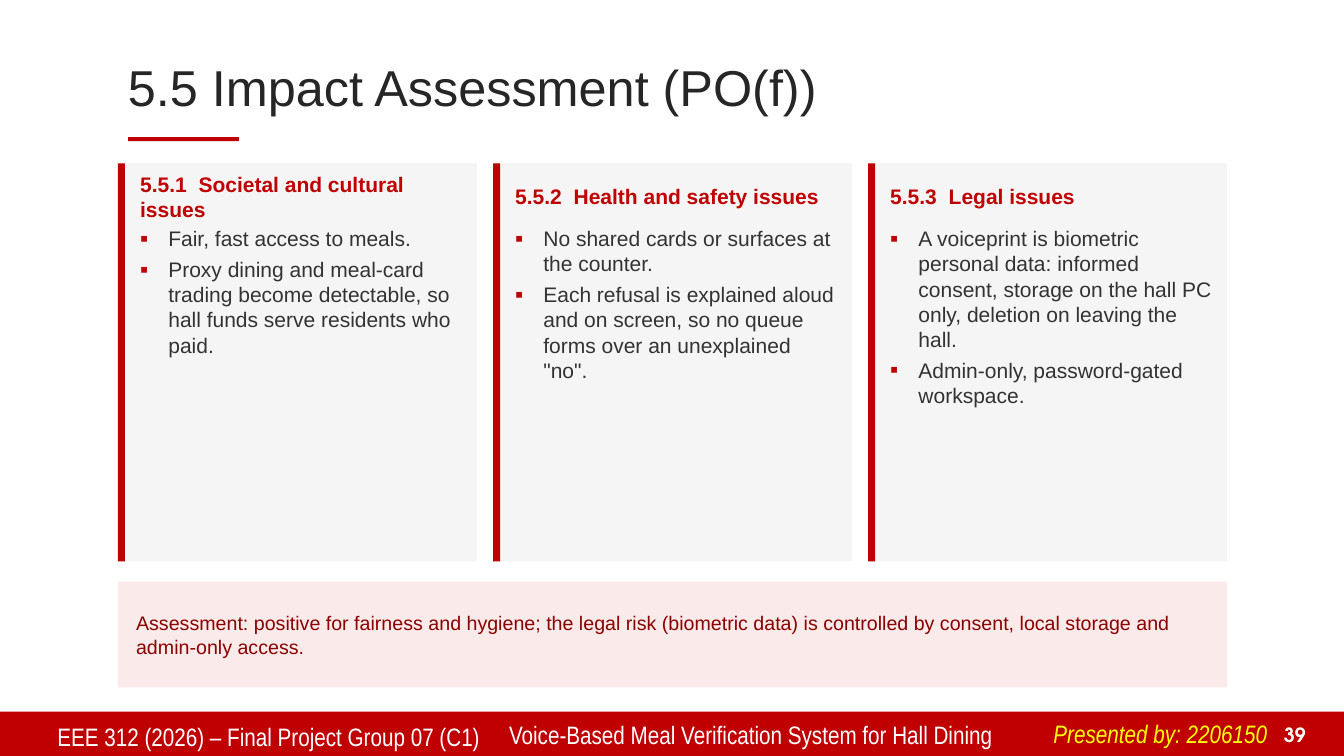
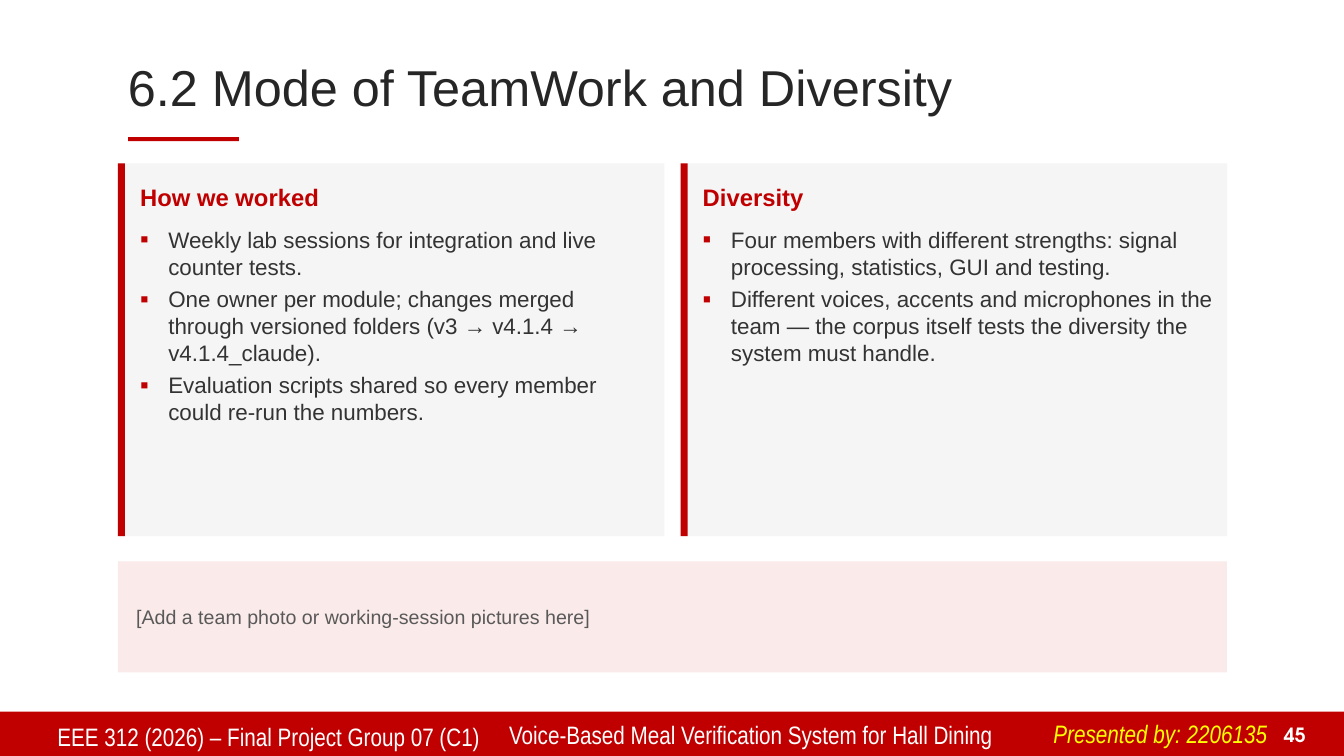
"""Build the impact assessment and teamwork slides of the project deck."""
from lxml import etree
from pptx import Presentation
from pptx.dml.color import RGBColor
from pptx.enum.shapes import MSO_SHAPE
from pptx.enum.text import MSO_ANCHOR, MSO_AUTO_SIZE, PP_ALIGN
from pptx.oxml.ns import qn
from pptx.util import Inches, Pt

RECTANGLE = MSO_SHAPE.RECTANGLE
TOP, MIDDLE, BOTTOM = MSO_ANCHOR.TOP, MSO_ANCHOR.MIDDLE, MSO_ANCHOR.BOTTOM
LEFT, RIGHT = PP_ALIGN.LEFT, PP_ALIGN.RIGHT
GROW = MSO_AUTO_SIZE.SHAPE_TO_FIT_TEXT

RED = RGBColor(0xC0, 0x00, 0x00)
DARK_RED = RGBColor(0x8B, 0x00, 0x00)
PINK = RGBColor(0xFB, 0xEA, 0xEA)
PALE_GREY = RGBColor(0xF5, 0xF5, 0xF5)
TITLE_GREY = RGBColor(0x26, 0x26, 0x26)
BODY_GREY = RGBColor(0x33, 0x33, 0x33)
NOTE_GREY = RGBColor(0x59, 0x59, 0x59)
WHITE = RGBColor(0xFF, 0xFF, 0xFF)
YELLOW = RGBColor(0xFF, 0xFF, 0x00)

BODY_FONT = "Arial"
FOOTER_FONT = "Arial Narrow"
NUMBER_FONT = "TeX Gyre Adventor"

SLIDE_WIDTH, SLIDE_HEIGHT = 13.33, 7.5
CONTENT_LEFT, CONTENT_WIDTH = 1.17, 11
CARD_TOP, CARD_GAP = 1.62, 0.16
BULLET_INDENT = 0.28
NUMBER_TAB = 0.58


def add_child(parent, tag, **attributes):
    return etree.SubElement(parent, qn(tag), attributes)


def add_bullet(properties):
    indent = Inches(BULLET_INDENT)
    properties.set("marL", str(indent))
    properties.set("indent", str(-indent))
    add_child(add_child(properties, "a:buClr"), "a:srgbClr", val=str(RED))
    add_child(properties, "a:buSzPct", val="110000")
    add_child(properties, "a:buFont", typeface=BODY_FONT)
    add_child(properties, "a:buChar", char="▪")


def add_tab_stop(properties, position):
    stops = add_child(properties, "a:tabLst")
    add_child(stops, "a:tab", pos=str(Inches(position)), algn="l")


def write_text(paragraph, text, *, size, color, font=BODY_FONT, bold=False,
               italic=False, align=LEFT, line_spacing=None, space_after=None,
               bullet=False):
    paragraph.alignment = align
    if line_spacing:
        paragraph.line_spacing = line_spacing
    if space_after:
        paragraph.space_after = Pt(space_after)
    properties = paragraph._p.get_or_add_pPr()
    if bullet:
        add_bullet(properties)
    if "\t" in text:
        add_tab_stop(properties, NUMBER_TAB)
    run = paragraph.add_run()
    run.text = text
    run.font.name = font
    run.font.size = Pt(size)
    run.font.bold = bold
    run.font.italic = italic
    run.font.color.rgb = color


class Deck:
    """Hold the shared style and the slide being built."""

    def __init__(self):
        self.presentation = Presentation()
        self.presentation.slide_width = Inches(SLIDE_WIDTH)
        self.presentation.slide_height = Inches(SLIDE_HEIGHT)
        self.slide = None

    def add_slide(self, title, presenter, number):
        layout = self.presentation.slide_layouts[6]
        self.slide = self.presentation.slides.add_slide(layout)
        self.rectangle(0, 7.06, SLIDE_WIDTH, 0.45, RED)
        self.text(CONTENT_LEFT, 0.5, CONTENT_WIDTH, 0.8, [title], anchor=MIDDLE,
                  size=36, color=TITLE_GREY, line_spacing=0.9)
        self.rectangle(1.27, 1.36, 1.1, 0.04, RED)
        self.footer(presenter, number)

    def footer(self, presenter, number):
        style = {"size": 18, "font": FOOTER_FONT}
        self.text(0.47, 7.11, 4.45, 0.39,
                  ["EEE 312 (2026) – Final Project Group 07 (C1)"],
                  color=WHITE, **style)
        self.text(4.95, 7.09, 5.35, 0.41,
                  ["Voice-Based Meal Verification System for Hall Dining"],
                  color=WHITE, **style)
        self.text(10.35, 7.08, 2.42, 0.4, [f"Presented by: {presenter}"],
                  wrap=False, grow=True, color=YELLOW, italic=True, **style)
        self.text(12.48, 7.11, 0.57, 0.34, [str(number)], anchor=BOTTOM,
                  size=14, font=NUMBER_FONT, color=WHITE, bold=True, align=RIGHT)

    def rectangle(self, left, top, width, height, color):
        shape = self.slide.shapes.add_shape(
            RECTANGLE, Inches(left), Inches(top), Inches(width), Inches(height))
        shape.shadow.inherit = False
        shape.fill.solid()
        shape.fill.fore_color.rgb = color
        shape.line.fill.background()

    def text(self, left, top, width, height, lines, *, anchor=TOP, wrap=True,
             grow=False, inset=True, **text_format):
        box = self.slide.shapes.add_textbox(
            Inches(left), Inches(top), Inches(width), Inches(height))
        frame = box.text_frame
        frame.word_wrap = wrap
        frame.vertical_anchor = anchor
        if grow:
            frame.auto_size = GROW
        if not inset:
            frame.margin_left = frame.margin_right = 0
            frame.margin_top = frame.margin_bottom = 0
        for index, line in enumerate(lines):
            paragraph = frame.add_paragraph() if index else frame.paragraphs[0]
            write_text(paragraph, line, **text_format)

    def card(self, left, width, height, heading, bullets, heading_size, body_size):
        self.rectangle(left, CARD_TOP, width, height, PALE_GREY)
        self.rectangle(left, CARD_TOP, 0.07, height, RED)
        text_left, text_width = left + 0.22, width - 0.36
        self.text(text_left, CARD_TOP + 0.12, text_width, 0.42, [heading],
                  anchor=MIDDLE, grow=True, inset=False, size=heading_size,
                  color=RED, bold=True, space_after=6)
        self.text(text_left, CARD_TOP + 0.62, text_width, height - 0.72, bullets,
                  grow=True, inset=False, size=body_size, color=BODY_GREY,
                  space_after=4, bullet=True)

    def card_row(self, cards, height, heading_size, body_size):
        width = (CONTENT_WIDTH - CARD_GAP * (len(cards) - 1)) / len(cards)
        for index, (heading, bullets) in enumerate(cards):
            left = CONTENT_LEFT + index * (width + CARD_GAP)
            self.card(left, width, height, heading, bullets, heading_size, body_size)

    def note(self, top, height, text, color):
        self.rectangle(CONTENT_LEFT, top, CONTENT_WIDTH, height, PINK)
        self.text(CONTENT_LEFT + 0.18, top + 0.06, CONTENT_WIDTH - 0.36,
                  height - 0.12, [text], anchor=MIDDLE, grow=True, inset=False,
                  size=14, color=color)


IMPACT_CARDS = [
    ("5.5.1\tSocietal and cultural issues", [
        "Fair, fast access to meals.",
        "Proxy dining and meal-card trading become detectable, so hall funds "
        "serve residents who paid.",
    ]),
    ("5.5.2\tHealth and safety issues", [
        "No shared cards or surfaces at the counter.",
        "Each refusal is explained aloud and on screen, so no queue forms over "
        'an unexplained "no".',
    ]),
    ("5.5.3\tLegal issues", [
        "A voiceprint is biometric personal data: informed consent, storage on "
        "the hall PC only, deletion on leaving the hall.",
        "Admin-only, password-gated workspace.",
    ]),
]

TEAMWORK_CARDS = [
    ("How we worked", [
        "Weekly lab sessions for integration and live counter tests.",
        "One owner per module; changes merged through versioned folders "
        "(v3 → v4.1.4 → v4.1.4_claude).",
        "Evaluation scripts shared so every member could re-run the numbers.",
    ]),
    ("Diversity", [
        "Four members with different strengths: signal processing, statistics, "
        "GUI and testing.",
        "Different voices, accents and microphones in the team — the corpus "
        "itself tests the diversity the system must handle.",
    ]),
]


def main():
    deck = Deck()

    deck.add_slide("5.5 Impact Assessment (PO(f))", "2206150", 39)
    deck.card_row(IMPACT_CARDS, 3.95, heading_size=15, body_size=15)
    deck.note(5.77, 1.05,
              "Assessment: positive for fairness and hygiene; the legal risk "
              "(biometric data) is controlled by consent, local storage and "
              "admin-only access.", DARK_RED)

    deck.add_slide("6.2 Mode of TeamWork and Diversity", "2206135", 45)
    deck.card_row(TEAMWORK_CARDS, 3.7, heading_size=17, body_size=16)
    deck.note(5.57, 1.1, "[Add a team photo or working-session pictures here]",
              NOTE_GREY)

    deck.presentation.save("out.pptx")


if __name__ == "__main__":
    main()
